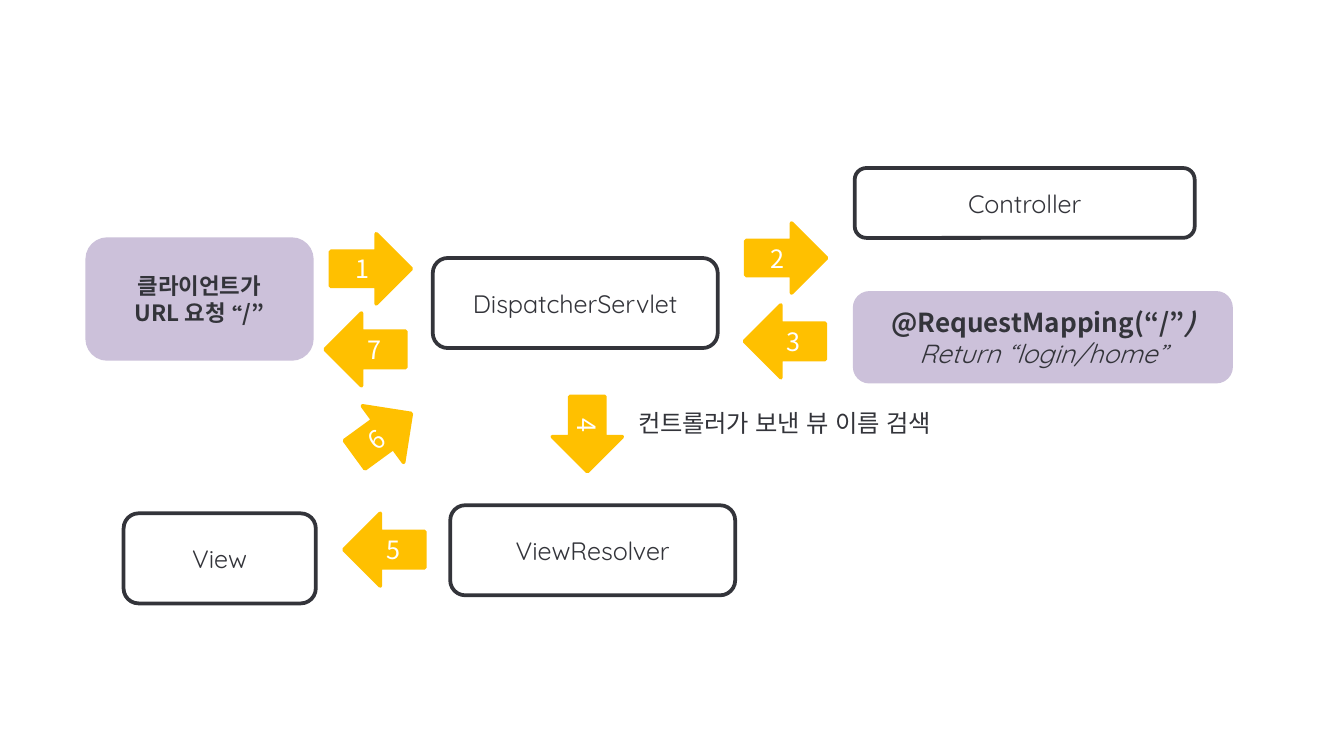
from pptx import Presentation, util as u
from pptx.dml.color import RGBColor
from pptx.enum import shapes, text
from pptx.oxml.ns import qn
from lxml import etree

COLORS = {"ink": "33343A", "white": "FFFFFF", "lilac": "CCC1DA", "amber": "FFC000"}
LATIN, KOREAN = "Quicksand", "Noto Sans CJK KR"
KIND = shapes.MSO_SHAPE

# Widescreen page, 16 to 9
deck = Presentation()
deck.slide_width = u.Inches(10)
deck.slide_height = deck.slide_width * 9 // 16
page = deck.slides.add_slide(deck.slide_layouts[6])


def add_box(kind, place, fill, line):
    box = page.shapes.add_shape(kind, *[u.Inches(v) for v in place])
    box.shadow.inherit = False
    box.fill.solid()
    box.fill.fore_color.rgb = RGBColor.from_string(COLORS[fill])
    box.line.color.rgb = RGBColor.from_string(COLORS[line])
    box.line.width = u.Pt(2)
    frame = box.text_frame
    frame.vertical_anchor = text.MSO_ANCHOR.MIDDLE
    frame.margin_left = frame.margin_right = 0
    frame.margin_top = frame.margin_bottom = 0
    return box


def write(para, words, size, font, color="ink", bold=False, italic=False,
          align=text.PP_ALIGN.CENTER):
    para.alignment = align
    span = para.add_run()
    span.text = words
    style = span.font
    style.size, style.name, style.bold, style.italic = u.Pt(size), font, bold, italic
    style.color.rgb = RGBColor.from_string(COLORS[color])
    east_asian = etree.SubElement(span._r.get_or_add_rPr(), qn("a:ea"))
    east_asian.set("typeface", LATIN)


# Outlined components
for name, place in [
    ("Controller", (6.36, 1.25, 2.53, 0.52)),
    ("DispatcherServlet", (3.22, 1.92, 2.12, 0.67)),
    ("ViewResolver", (3.35, 3.76, 2.12, 0.67)),
    ("View", (0.92, 3.82, 1.43, 0.67)),
]:
    box = add_box(KIND.ROUNDED_RECTANGLE, place, "white", "ink")
    write(box.text_frame.paragraphs[0], name, 13.5, LATIN)

# Client request
client = add_box(KIND.ROUNDED_RECTANGLE, (0.65, 1.78, 1.67, 0.89), "lilac", "lilac")
write(client.text_frame.paragraphs[0], "클라이언트가", 12, LATIN, bold=True)
write(client.text_frame.add_paragraph(), " URL 요청 “/” ", 12, KOREAN, bold=True)

# Request mapping
mapping = add_box(KIND.ROUNDED_RECTANGLE, (6.36, 2.18, 2.8, 0.66), "lilac", "lilac")
heading = mapping.text_frame.paragraphs[0]
write(heading, "@RequestMapping(“/”", 14, KOREAN, bold=True)
write(heading, ")", 14, KOREAN, bold=True, italic=True)
write(mapping.text_frame.add_paragraph(), "Return “login/home”", 14, LATIN, italic=True)

# Numbered arrows, in step order
for step, (kind, place, turn) in enumerate([
    (KIND.RIGHT_ARROW, (2.46, 1.74, 0.6, 0.52), 0),
    (KIND.RIGHT_ARROW, (5.55, 1.66, 0.6, 0.52), 0),
    (KIND.LEFT_ARROW, (5.54, 2.27, 0.6, 0.54), 0),
    (KIND.RIGHT_ARROW, (4.09, 2.97, 0.56, 0.52), 90),
    (KIND.LEFT_ARROW, (2.56, 3.82, 0.6, 0.54), 0),
    (KIND.RIGHT_ARROW, (2.59, 2.97, 0.52, 0.52), 323.9),
    (KIND.LEFT_ARROW, (2.42, 2.33, 0.6, 0.54), 0),
], start=1):
    arrow = add_box(kind, place, "amber", "amber")
    arrow.rotation = turn
    write(arrow.text_frame.paragraphs[0], str(step), 13.5, KOREAN, "white")

# Note beside step 4
note = page.shapes.add_textbox(*[u.Inches(v) for v in (4.65, 2.99, 2.62, 0.32)])
note.text_frame.word_wrap = False
note.text_frame.auto_size = text.MSO_AUTO_SIZE.SHAPE_TO_FIT_TEXT
write(note.text_frame.paragraphs[0], "컨트롤러가 보낸 뷰 이름 검색 ", 13, LATIN,
      align=text.PP_ALIGN.LEFT)

deck.save("out.pptx")
